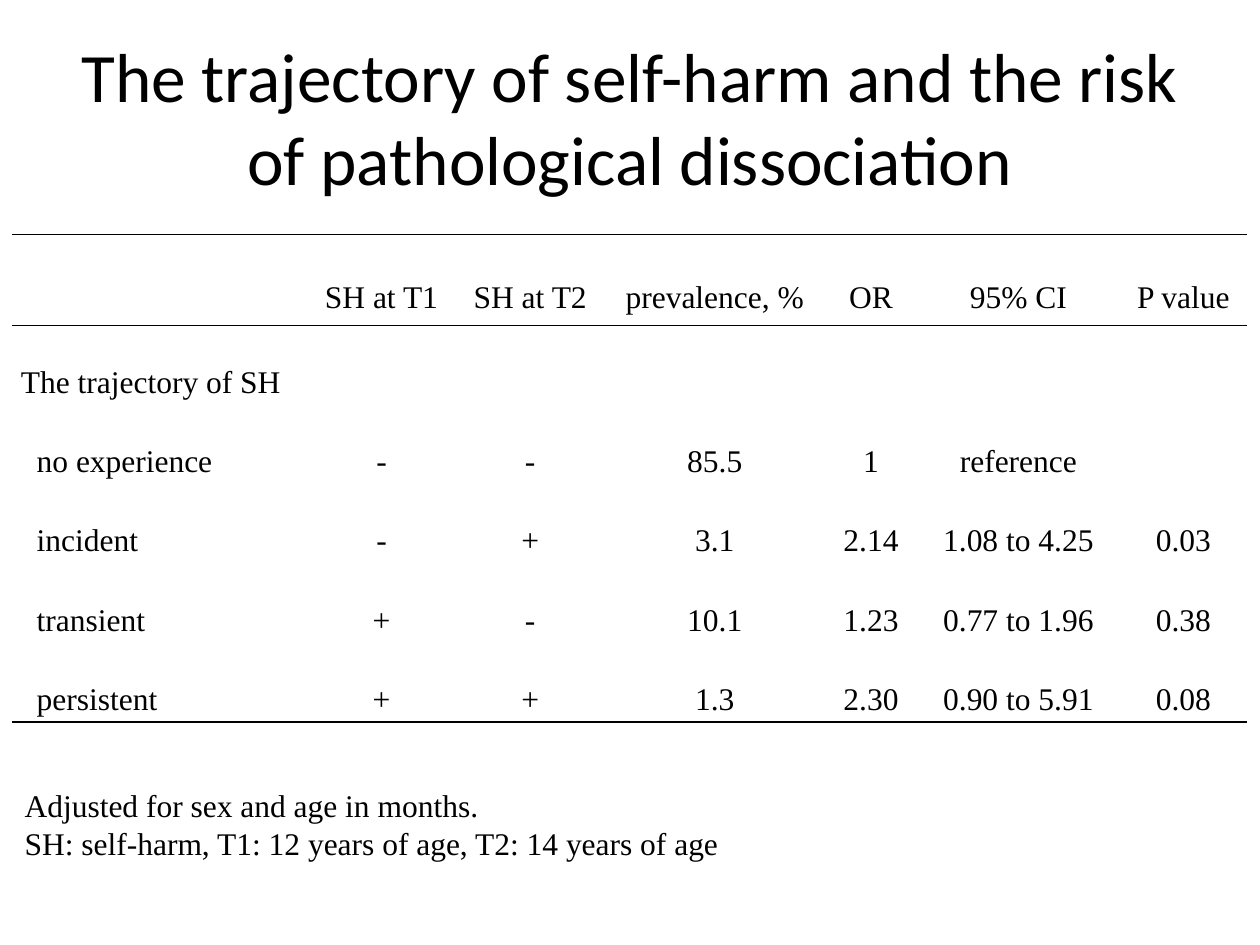
from lxml.etree import SubElement as Sub
from pptx import Presentation
from pptx.dml.color import RGBColor
from pptx.enum.text import MSO_ANCHOR as Anchor, PP_ALIGN as Align
from pptx.oxml.ns import qn
from pptx.util import Pt

BLACK = RGBColor(0, 0, 0)
SERIF = {"name": "Times New Roman", "size": Pt(18)}
TITLE = {"name": "Calibri", "size": Pt(39.6)}

COLS = [168.5, 85, 85, 126, 52.5, 116, 72.6]
HEAD, ROW = 52, 45.3
PAD, INDENT = 5, 9
ROWS = [
    ["", "SH at T1", "SH at T2", "prevalence, %", "OR", "95% CI", "P value"],
    ["The trajectory of SH", "", "", "", "", "", ""],
    ["no experience", "-", "-", "85.5", "1", "reference", ""],
    ["incident", "-", "+", "3.1", "2.14", "1.08 to 4.25", "0.03"],
    ["transient", "+", "-", "10.1", "1.23", "0.77 to 1.96", "0.38"],
    ["persistent", "+", "+", "1.3", "2.30", "0.90 to 5.91", "0.08"],
]
NOTES = ["Adjusted for sex and age in months.",
         "SH: self-harm, T1: 12 years of age, T2: 14 years of age"]


def style(part, **vals):
    for key, val in vals.items():
        setattr(part, key, val)


def write(frame, lines, font, **para):
    frame.text = "\n".join(lines)
    for par in frame.paragraphs:
        style(par, **para)
        style(par.font, **font)
        par.font.color.rgb = BLACK


def add_text(slide, box, lines, font, anchor, **para):
    frame = slide.shapes.add_textbox(*map(Pt, box)).text_frame
    style(frame, word_wrap=True, vertical_anchor=anchor)
    write(frame, lines, font, **para)


def rule(cell, sides):
    """Draw black lines on the named sides and clear the others."""
    props = cell._tc.get_or_add_tcPr()
    for side in "LRTB":
        line = Sub(props, qn(f"a:ln{side}"), w=str(Pt(1)))
        if side in sides:
            fill = Sub(line, qn("a:solidFill"))
            Sub(fill, qn("a:srgbClr"), val=str(BLACK))
        else:
            Sub(line, qn("a:noFill"))


def add_grid(slide, box):
    last = len(ROWS) - 1
    sides = {0: "TB", 1: "T", last: "B"}
    grid = slide.shapes.add_table(len(ROWS), len(COLS), *map(Pt, box)).table
    style(grid, first_row=False, horz_banding=False)
    for col, width in zip(grid.columns, COLS):
        col.width = Pt(width)
    for r, texts in enumerate(ROWS):
        grid.rows[r].height = Pt(ROW if r else HEAD)
        for c, text in enumerate(texts):
            cell = grid.cell(r, c)
            rule(cell, sides.get(r, ""))
            cell.fill.background()
            # Trajectory names sit one step in
            left = PAD + INDENT if r > 1 and c == 0 else PAD
            style(cell, vertical_anchor=Anchor.MIDDLE, margin_left=Pt(left),
                  margin_right=Pt(PAD), margin_top=0, margin_bottom=0)
            if text:
                write(cell.text_frame, [text], SERIF, line_spacing=2.0,
                      space_after=Pt(8),
                      alignment=Align.CENTER if c else Align.LEFT)


def main():
    deck = Presentation()
    style(deck, slide_width=Pt(720), slide_height=Pt(540))
    slide = deck.slides.add_slide(deck.slide_layouts[6])

    # Title
    add_text(slide, (36, 21.6, 648, 90),
             ["The trajectory of self-harm and the risk of pathological dissociation"],
             TITLE, Anchor.MIDDLE, alignment=Align.CENTER)
    # Results
    add_grid(slide, (7, 134, sum(COLS), HEAD + ROW * (len(ROWS) - 1)))
    # Notes
    add_text(slide, (7, 445.7, 705.6, 51), NOTES, SERIF, Anchor.TOP)

    deck.save("out.pptx")


if __name__ == "__main__":
    main()
